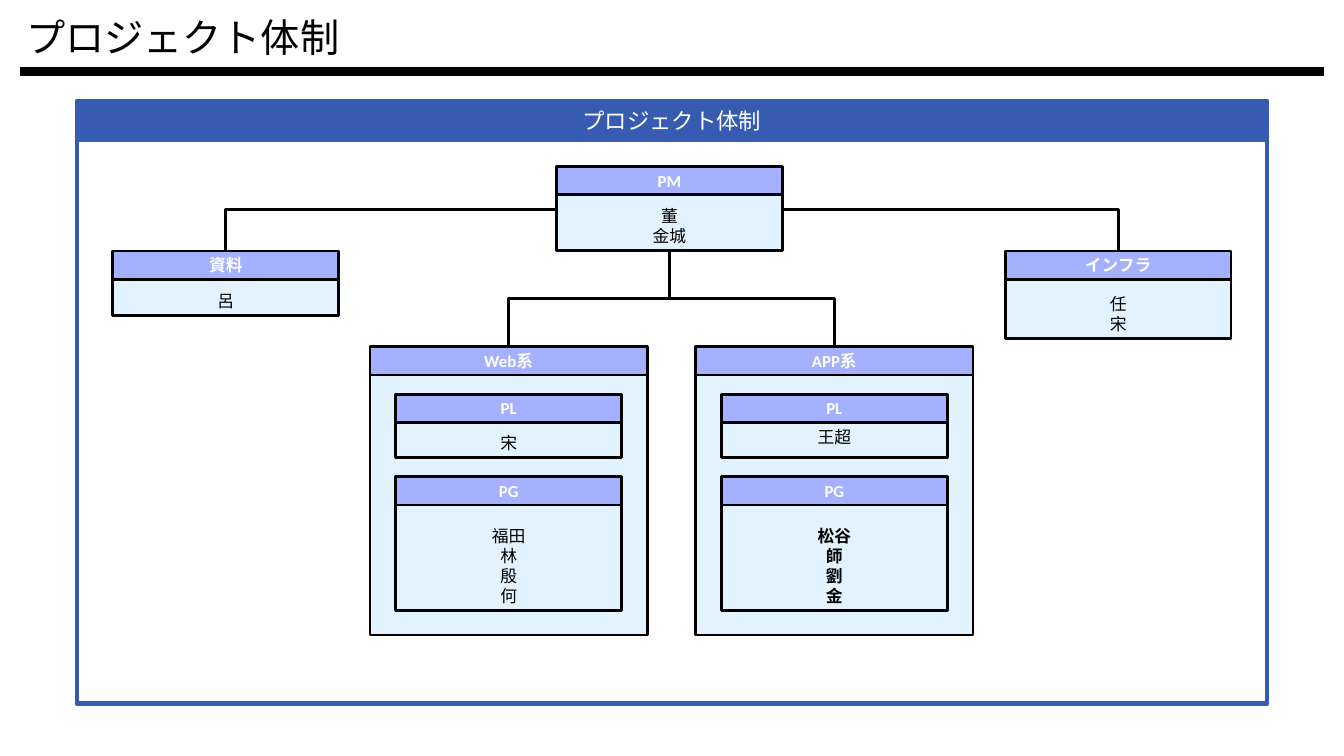
from dataclasses import dataclass

from lxml import etree
from pptx import Presentation
from pptx import util as u
from pptx.dml.color import RGBColor
from pptx.enum import shapes, text
from pptx.oxml.ns import qn


@dataclass(frozen=True)
class Theme:
    frame: str = "375BB0"
    heading: str = "A5B0FF"
    body: str = "E2F3FF"
    ink: str = "000000"
    white: str = "FFFFFF"
    title_font: str = "Arial"
    chart_font: str = "Calibri"
    japanese_font: str = "Noto Sans CJK JP"
    title_size: int = 28
    banner_size: int = 16
    chart_size: int = 12
    box_line: float = 2
    link_line: float = 2.25
    frame_line: float = 3
    rule_line: float = 6


class OrgSlide:
    def __init__(self, slide, theme):
        self.slide = slide
        self.theme = theme

    def label(self, frame, lines, font, size, color, bold=False,
              align=text.PP_ALIGN.CENTER, anchor=text.MSO_ANCHOR.MIDDLE):
        frame.word_wrap = True
        frame.vertical_anchor = anchor
        for index, line in enumerate(lines):
            paragraph = frame.add_paragraph() if index else frame.paragraphs[0]
            paragraph.alignment = align
            run = paragraph.add_run()
            run.text = line
            run.font.name = font
            run.font.size = u.Pt(size)
            run.font.bold = bold
            run.font.color.rgb = RGBColor.from_string(color)
            east_asian = etree.SubElement(run.font._element, qn("a:ea"))
            east_asian.set("typeface", self.theme.japanese_font)

    def box(self, left, top, width, height, fill, line, weight):
        rect = self.slide.shapes.add_shape(
            shapes.MSO_SHAPE.RECTANGLE,
            *map(u.Inches, (left, top, width, height)))
        rect.shadow.inherit = False
        if fill:
            rect.fill.solid()
            rect.fill.fore_color.rgb = RGBColor.from_string(fill)
        else:
            rect.fill.background()
        rect.line.color.rgb = RGBColor.from_string(line)
        rect.line.width = u.Pt(weight)
        return rect.text_frame

    def title(self, words):
        heading = self.slide.shapes.add_textbox(
            *map(u.Inches, (0.16, 0.06, 3.52, 0.62)))
        self.label(heading.text_frame, [words], self.theme.title_font,
                   self.theme.title_size, self.theme.ink,
                   align=text.PP_ALIGN.LEFT)

    def banner(self, words, left, top, width, height):
        t = self.theme
        frame = self.box(left, top, width, height, t.frame, t.frame,
                         t.frame_line)
        self.label(frame, [words], t.japanese_font, t.banner_size, t.white)

    def card(self, role, members, left, top, width, height, bold=False,
             bottom_inset=0.05):
        t = self.theme
        offset = 0.01
        body = self.box(left, top + offset, width, height - offset,
                        t.body, t.ink, t.box_line)
        body.margin_bottom = u.Inches(bottom_inset)
        self.label(body, members, t.chart_font, t.chart_size, t.ink, bold,
                   anchor=text.MSO_ANCHOR.BOTTOM)
        head = self.box(left, top, width, HEAD_HEIGHT,
                        t.heading, t.ink, t.box_line)
        self.label(head, [role], t.chart_font, t.chart_size, t.white, True)

    def line(self, kind, start, end, weight):
        link = self.slide.shapes.add_connector(
            kind, *map(u.Inches, (*start, *end)))
        link.line.color.rgb = RGBColor.from_string(self.theme.ink)
        link.line.width = u.Pt(weight)
        etree.SubElement(link._element.spPr, qn("a:effectLst"))
        return link._element.spPr

    def side_link(self, start, end):
        properties = self.line(shapes.MSO_CONNECTOR.ELBOW, start, end,
                               self.theme.link_line)
        properties.find(qn("a:prstGeom")).set("prst", "bentConnector2")

    def down_link(self, start, end):
        dx, dy = end[0] - start[0], end[1] - start[1]
        x, y = start[0] + dx / 2, start[1] + dy / 2
        properties = self.line(
            shapes.MSO_CONNECTOR.ELBOW, (x - dy / 2, y + dx / 2),
            (x + dy / 2, y - dx / 2), self.theme.link_line)
        properties.find(qn("a:xfrm")).set("rot", str(90 * 60000))


HEAD_HEIGHT = 0.28
CARD_WIDTH = 2.24
TEAM_WIDTH = 2.75
TEAM_TOP = 3.44
SIDE_TOP = 2.49
PM_LEFT, PM_TOP, PM_HEIGHT = 5.52, 1.65, 0.84
FRAME_LEFT, FRAME_WIDTH = 0.76, 11.81

theme = Theme()
deck = Presentation()
deck.slide_width = u.Inches(13.33)
deck.slide_height = u.Inches(7.5)
org = OrgSlide(deck.slides.add_slide(deck.slide_layouts[6]), theme)

org.title("プロジェクト体制")
org.line(shapes.MSO_CONNECTOR.STRAIGHT, (0.2, 0.71), (13.13, 0.71),
         theme.rule_line)
org.banner("プロジェクト体制", FRAME_LEFT, 1, FRAME_WIDTH, 0.39)
org.box(FRAME_LEFT, 1.39, FRAME_WIDTH, 5.59, None, theme.frame,
        theme.frame_line)

org.card("PM", ["董", "金城"], PM_LEFT, PM_TOP, CARD_WIDTH, PM_HEIGHT)
pm_bottom = (PM_LEFT + CARD_WIDTH / 2, PM_TOP + PM_HEIGHT)

supports = [
    ("資料", ["呂"], 1.12, 0.64, PM_LEFT),
    ("インフラ", ["任", "宋"], 9.97, 0.87, PM_LEFT + CARD_WIDTH),
]
for role, members, left, height, pm_side in supports:
    org.side_link((pm_side, 2.08), (left + CARD_WIDTH / 2, SIDE_TOP))
    org.card(role, members, left, SIDE_TOP, CARD_WIDTH, height)

teams = [
    ("Web系", 3.67, ["宋"], 0.05, ["福田", "林", "殷", "何"], False),
    ("APP系", 6.9, ["王超"], 0.11, ["松谷", "師", "劉", "金"], True),
]
for team, left, leaders, leader_inset, programmers, bold in teams:
    org.down_link(pm_bottom, (left + TEAM_WIDTH / 2, TEAM_TOP))
    org.card(team, [], left, TEAM_TOP, TEAM_WIDTH, 2.86)
    inner = left + (TEAM_WIDTH - CARD_WIDTH) / 2
    org.card("PL", leaders, inner, 3.91, CARD_WIDTH, 0.63,
             bottom_inset=leader_inset)
    org.card("PG", programmers, inner, 4.73, CARD_WIDTH, 1.33, bold)

deck.save("out.pptx")
